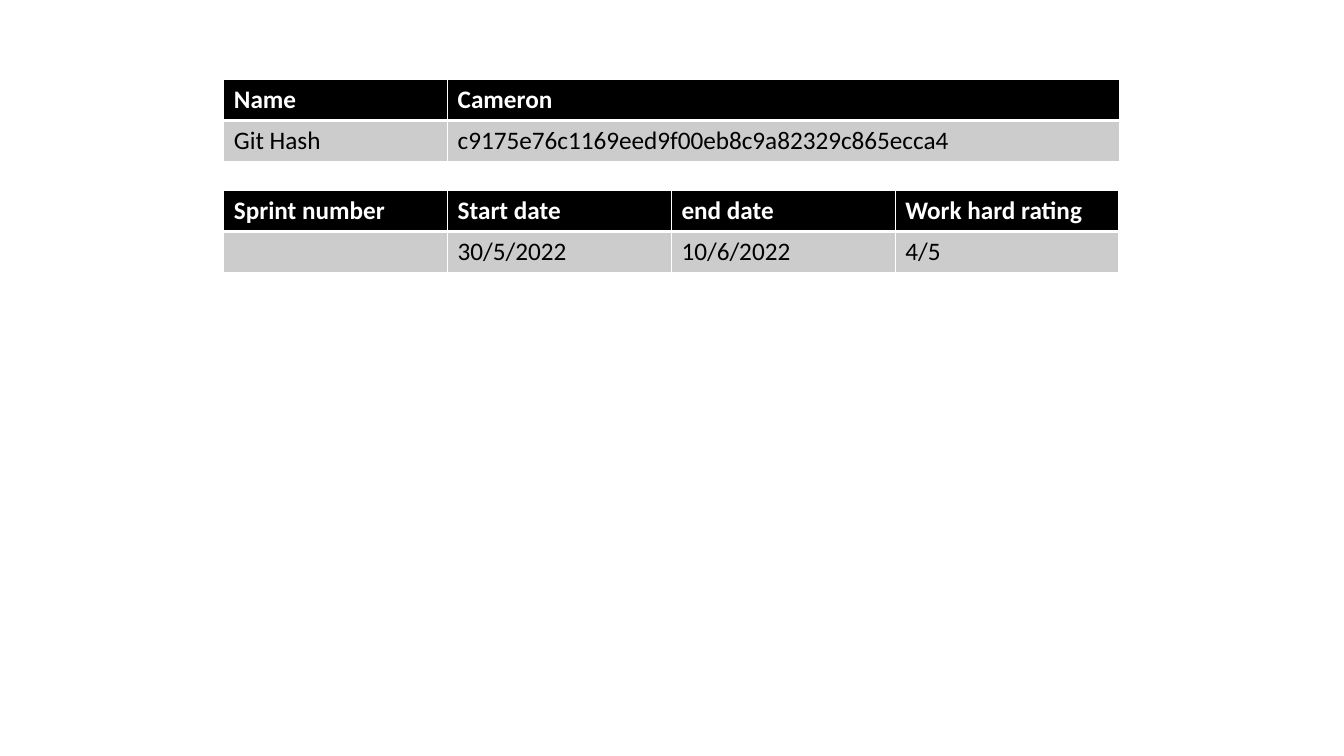
from lxml import etree
from pptx import Presentation
from pptx.dml.color import RGBColor
from pptx.oxml.ns import qn
from pptx.util import Inches, Pt

BLANK = 6
COL_W, ROW_H, LEFT = 2.22, 0.405, 2.22
WHITE, BLACK, GREY = "FFFFFF", "000000", "CCCCCC"


def rgb(value):
    return RGBColor.from_string(value)


def add_borders(cell, widths):
    tcPr = cell._tc.get_or_add_tcPr()
    for side, width in widths.items():
        ln = etree.SubElement(tcPr, qn(f"a:ln{side}"), w=str(Pt(width)))
        fill = etree.SubElement(ln, qn("a:solidFill"))
        etree.SubElement(fill, qn("a:srgbClr"), val=WHITE)


prs = Presentation()
prs.slide_width, prs.slide_height = Inches(13.33), Inches(7.5)
s = prs.slides.add_slide(prs.slide_layouts[BLANK])

# Top position, column spans and rows of each table
tables = [
    (0.79, [1, 3], [["Name", "Cameron"],
                    ["Git Hash", "c9175e76c1169eed9f00eb8c9a82329c865ecca4"]]),
    (1.89, [1, 1, 1, 1], [["Sprint number", "Start date", "end date", "Work hard rating"],
                          ["", "30/5/2022", "10/6/2022", "4/5"]]),
]
# Fill, text format and border widths of the header and body rows
row_styles = [
    (BLACK, WHITE, {"bold": True}, {"L": 1, "R": 1, "T": 1, "B": 3}),
    (GREY, BLACK, {"bold": False}, {"L": 1, "R": 1, "T": 3, "B": 1}),
]

for top, spans, rows in tables:
    table = s.shapes.add_table(
        len(rows), len(spans), Inches(LEFT), Inches(top),
        Inches(COL_W * sum(spans)), Inches(ROW_H * len(rows))).table
    for column, span in zip(table.columns, spans):
        column.width = Inches(COL_W * span)
    for i, (texts, style) in enumerate(zip(rows, row_styles)):
        fill, color, weight, borders = style
        table.rows[i].height = Inches(ROW_H)
        for j, text in enumerate(texts):
            cell = table.cell(i, j)
            add_borders(cell, borders)
            cell.fill.solid()
            cell.fill.fore_color.rgb = rgb(fill)
            cell.text = text
            p = cell.text_frame.paragraphs[0]
            for font in [p.font] + [r.font for r in p.runs]:
                for name, value in {"name": "Calibri", "size": Pt(18), **weight}.items():
                    setattr(font, name, value)
                font.color.rgb = rgb(color)

prs.save("out.pptx")
